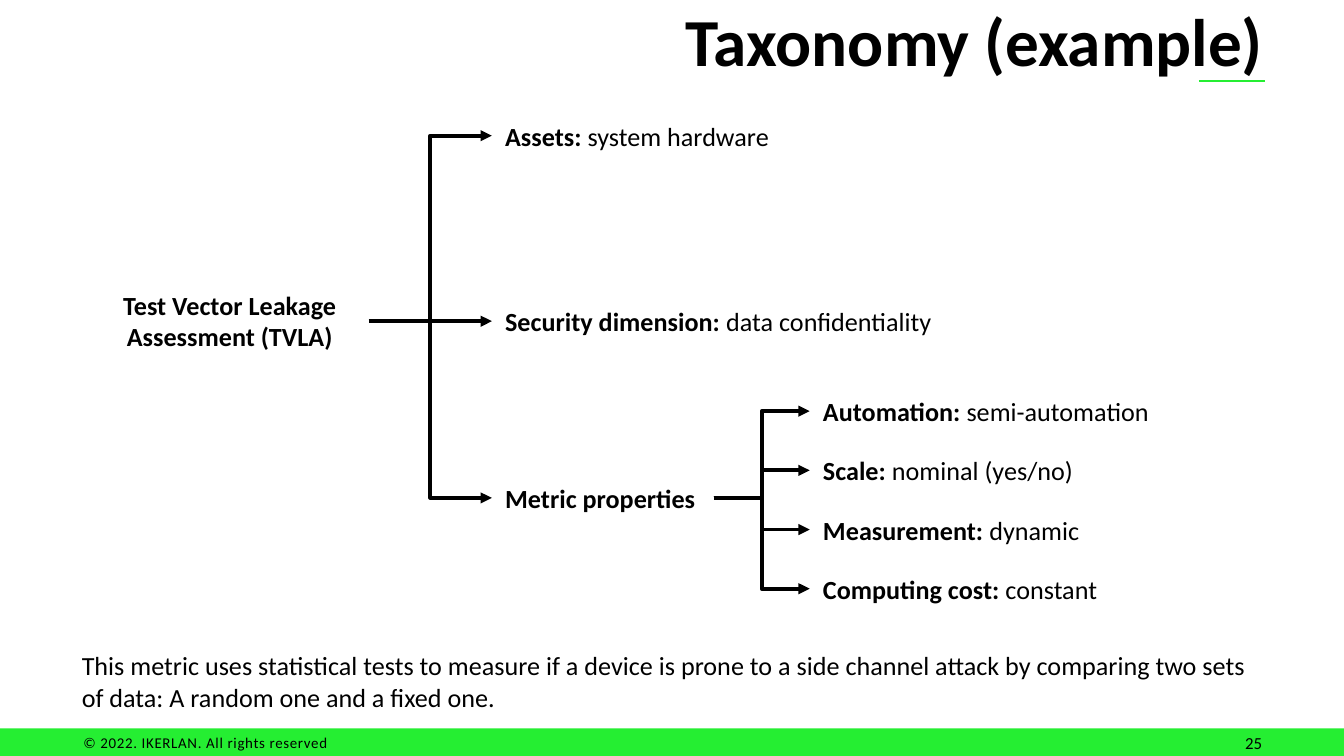
"""Build the taxonomy example slide with its branching diagram."""
from lxml import etree
from pptx import Presentation
from pptx.dml.color import RGBColor
from pptx.enum.shapes import MSO_CONNECTOR, MSO_SHAPE
from pptx.enum.text import MSO_ANCHOR, MSO_AUTO_SIZE, PP_ALIGN
from pptx.oxml.ns import qn
from pptx.util import Pt

PX = 4572
LEFT, MID, RIGHT = PP_ALIGN.LEFT, PP_ALIGN.CENTER, PP_ALIGN.RIGHT
TOP, CENTER = MSO_ANCHOR.TOP, MSO_ANCHOR.MIDDLE
FIXED = MSO_AUTO_SIZE.NONE
LINE, ELBOW = MSO_CONNECTOR.STRAIGHT, MSO_CONNECTOR.ELBOW
RECT = MSO_SHAPE.RECTANGLE
COLORS = {"ink": "000000", "green": "25EE32"}
FONT = "Calibri"

deck = Presentation()
deck.slide_width, deck.slide_height = 2000 * PX, 1125 * PX
slide = deck.slides.add_slide(deck.slide_layouts[5])
shapes = slide.shapes


def write(text, area, rest="", size=14, bold=False, align=LEFT, anchor=TOP,
          inset=(20, 10), space=0, box=None):
    """Write text, then a plain rest, into a new text box or the given one."""
    x, y, w, h = [n * PX for n in area]
    box = box or shapes.add_textbox(x, y, w, h)
    box.left, box.top, box.width, box.height = x, y, w, h
    frame = box.text_frame
    frame.word_wrap, frame.auto_size = True, FIXED
    frame.vertical_anchor = anchor
    frame.margin_left = frame.margin_right = inset[0] * PX
    frame.margin_top = frame.margin_bottom = inset[1] * PX
    para = frame.paragraphs[0]
    para.alignment = align
    for part, heavy in ((text, bold), (rest, False)):
        if part:
            run = para.add_run()
            run.text = part
            run.font.name, run.font.size = FONT, Pt(size)
            run.font.bold = heavy
            run.font.color.rgb = RGBColor.from_string(COLORS["ink"])
            if space:
                run._r.get_or_add_rPr().set("spc", str(space))


def link(start, end):
    """Draw an arrow between two points, bent where their heights differ."""
    kind = LINE if start[1] == end[1] else ELBOW
    wire = shapes.add_connector(kind, *[n * PX for n in (*start, *end)])
    wire.line.color.rgb = RGBColor.from_string(COLORS["ink"])
    wire.line.width = Pt(2)
    tail = etree.SubElement(wire.line._get_or_add_ln(), qn("a:tailEnd"))
    tail.set("type", "triangle")
    etree.SubElement(wire._element.spPr, qn("a:effectLst"))


bar = shapes.add_shape(RECT, 0, 1084 * PX, 2000 * PX, 41 * PX)
bar.shadow.inherit = False
bar.fill.solid()
bar.fill.fore_color.rgb = RGBColor.from_string(COLORS["green"])
bar.line.fill.background()
write("© 2022. IKERLAN. All rights reserved", (124, 1092, 568, 26),
      size=8, inset=(0, 0), space=33)

pen = shapes.build_freeform(1784, 121, scale=PX)
pen.add_line_segments([(1882, 121)], close=False)
rule = pen.convert_to_shape()
rule.shadow.inherit = False
rule.fill.background()
rule.line.color.rgb = RGBColor.from_string(COLORS["green"])
rule.line.width = Pt(0.95)

write("25", (1432, 1080, 466, 46), size=9, align=RIGHT)
write("Taxonomy (example)", (464, -4, 1436, 126), size=36, bold=True,
      align=RIGHT, anchor=CENTER, box=shapes.title)
write("Test Vector Leakage Assessment (TVLA)", (134, 421, 416, 114),
      bold=True, align=MID)
write("This metric uses statistical tests to measure if a device is prone to "
      "a side channel attack by comparing two sets of data: A random one and "
      "a fixed one.", (102, 957, 1798, 114))

BRANCHES = [
    ("Assets: ", "system hardware", 202, 472),
    ("Security dimension: ", "data confidentiality", 478, 724),
    ("Metric properties", "", 741, 330),
]
LEAVES = [
    ("Automation: ", "semi-automation"),
    ("Scale: ", "nominal (yes/no)"),
    ("Measurement: ", "dynamic"),
    ("Computing cost: ", "constant"),
]

for name, value, y, w in BRANCHES:
    write(name, (732, y - 33, w, 68), rest=value, bold=True)
    link((549, 478), (732, y))

for i, (name, value) in enumerate(LEAVES):
    y = 612 + 88 * i
    write(name, (1205, y - 33, 546, 68), rest=value, bold=True)
    link((1062, 741), (1205, y))

deck.save("out.pptx")
